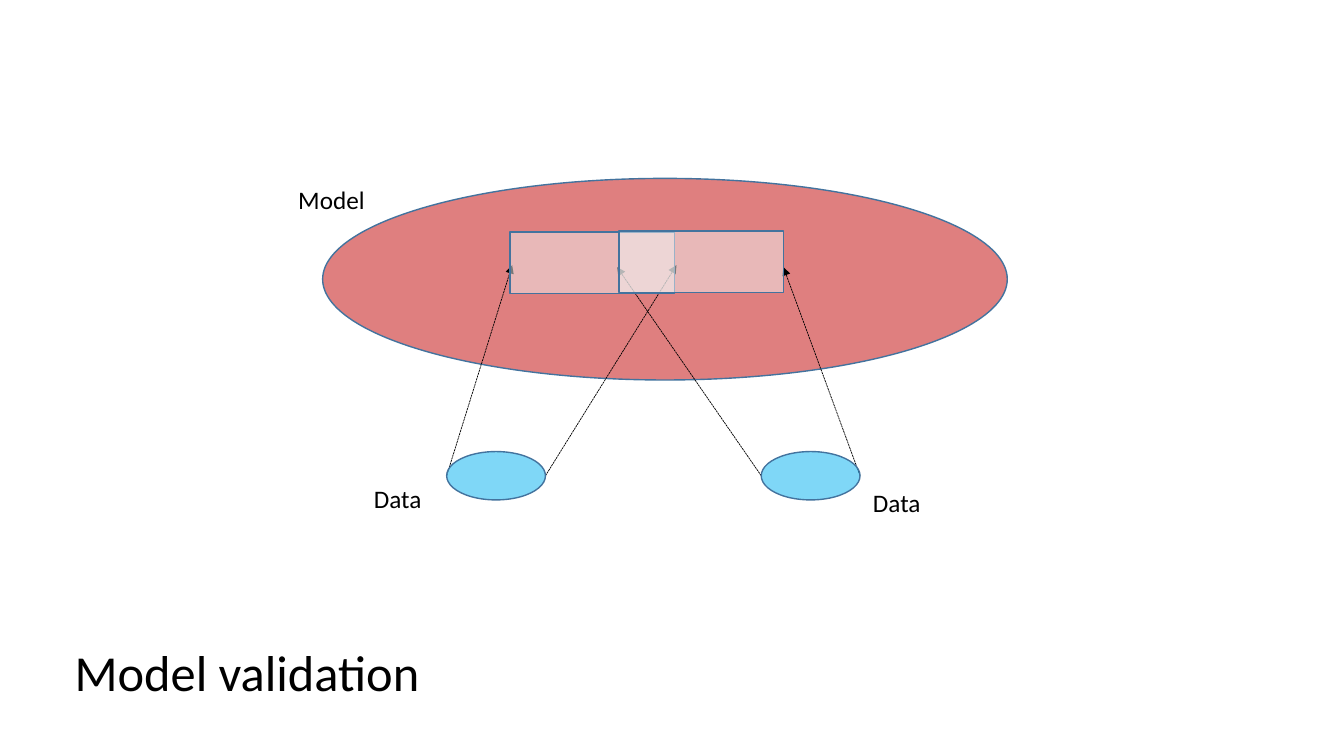
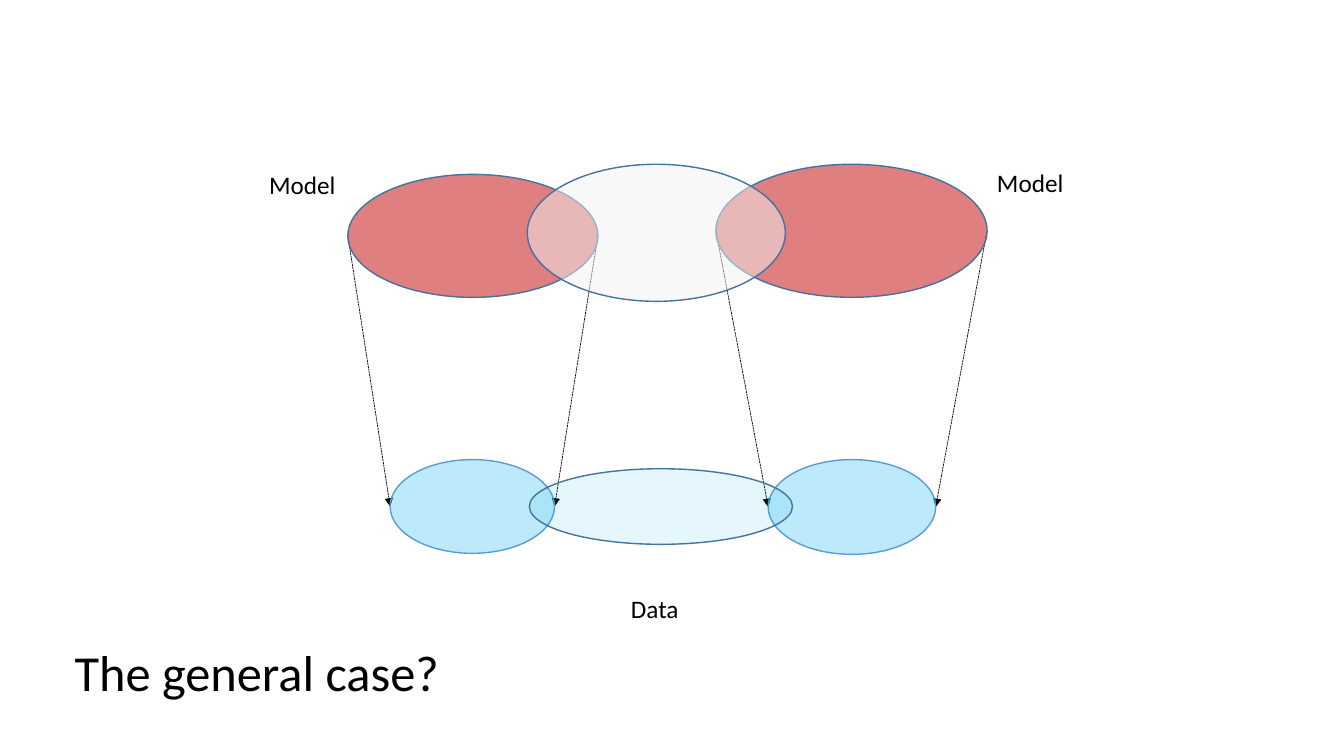
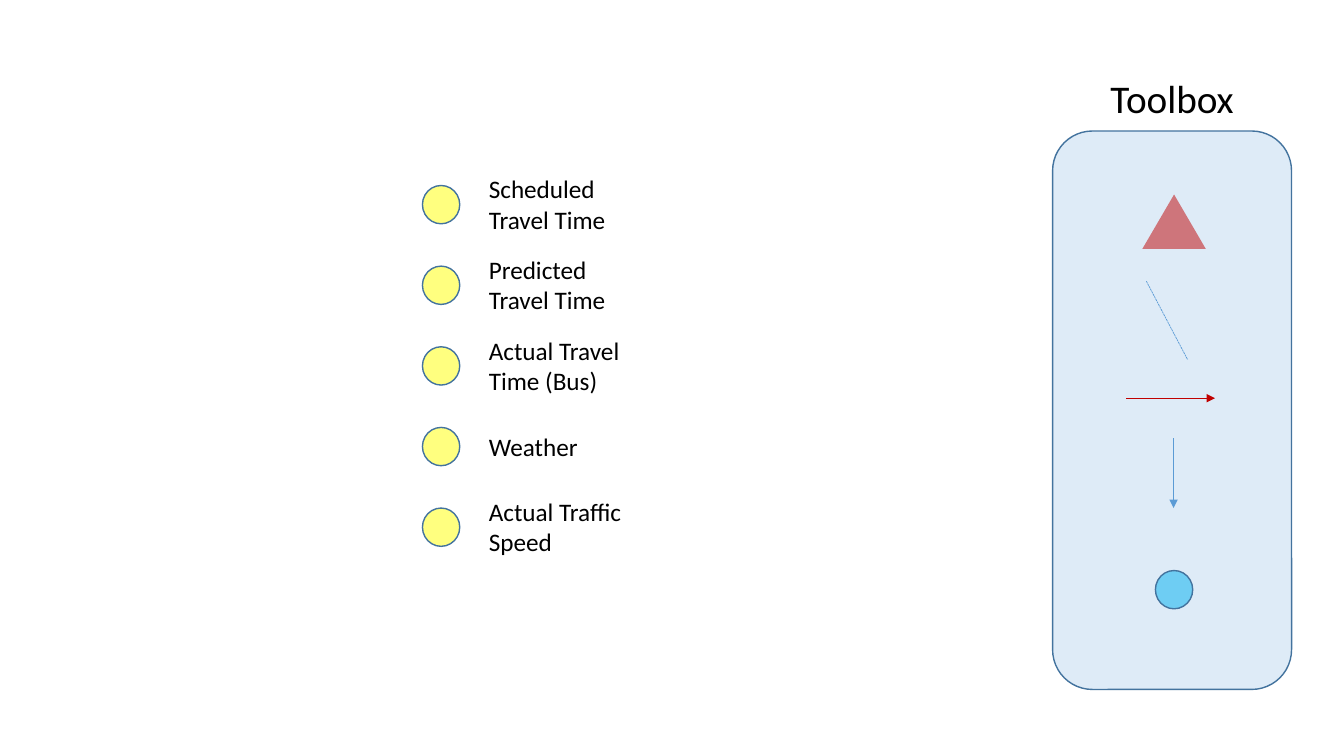
import pptx
import pptx.dml.color
import pptx.enum.dml
import pptx.enum.shapes
import pptx.enum.text
import pptx.oxml.ns
import pptx.util
import lxml.etree

Inches = pptx.util.Inches
Pt = pptx.util.Pt
KIND = pptx.enum.shapes.MSO_SHAPE
ALIGN = pptx.enum.text.PP_ALIGN
qn = pptx.oxml.ns.qn

# Shared look
FONT = "Calibri"
HEX = {
    "text": "000000",
    "edge": "43739E",
    "blue": "5B9BD5",
    "red": "C00000",
    "sky": "00B0F0",
    "gray": "F2F2F2",
    "gold": "FFFF00",
    "panel": "DEEBF7",
}
TITLE_ONLY, BLANK = 5, 6


def rgb(name):
    return pptx.dml.color.RGBColor.from_string(HEX[name])


def style(frame, text, size, align=ALIGN.LEFT):
    frame.text = text
    frame.vertical_anchor = pptx.enum.text.MSO_ANCHOR.TOP
    for para in frame.paragraphs:
        para.alignment = align
        para.font.name = FONT
        para.font.size = Pt(size)
        para.font.color.rgb = rgb("text")


def add_page(deck, title=None):
    """New slide, with the title at the bottom left if there is one."""
    page = deck.slides.add_slide(deck.slide_layouts[BLANK if title is None else TITLE_ONLY])
    if title is not None:
        head = page.shapes.title
        head.left, head.top = Inches(0.64), Inches(6.31)
        head.width, head.height = Inches(6.6), Inches(0.71)
        style(head.text_frame, title, 36)
        head.text_frame.word_wrap = True
        head.text_frame.auto_size = pptx.enum.text.MSO_AUTO_SIZE.NONE
    return page


def label(page, text, box, size=18, wrap=False, align=ALIGN.LEFT):
    frame = page.shapes.add_textbox(*map(Inches, box)).text_frame
    style(frame, text, size, align)
    frame.word_wrap = wrap
    frame.auto_size = pptx.enum.text.MSO_AUTO_SIZE.SHAPE_TO_FIT_TEXT


def shape(page, kind, box, fill, alpha=50, edge="edge"):
    """Filled shape; alpha is the opacity in percent."""
    item = page.shapes.add_shape(kind, *map(Inches, box))
    item.shadow.inherit = False
    item.fill.solid()
    item.fill.fore_color.rgb = rgb(fill)
    if alpha < 100:
        tint = item.fill._xPr.find(qn("a:solidFill"))[0]
        lxml.etree.SubElement(tint, qn("a:alpha")).set("val", str(alpha * 1000))
    if edge:
        item.line.color.rgb = rgb(edge)
        item.line.width = Pt(1)
    else:
        item.line.fill.background()


def line(page, start, end, color="text", dash=True, arrow=True):
    straight = pptx.enum.shapes.MSO_CONNECTOR.STRAIGHT
    item = page.shapes.add_connector(straight, *map(Inches, (*start, *end)))
    item.line.color.rgb = rgb(color)
    item.line.width = Pt(0.5)
    if dash:
        item.line.dash_style = pptx.enum.dml.MSO_LINE.SQUARE_DOT
    if arrow:
        tail = lxml.etree.SubElement(item.line._get_or_add_ln(), qn("a:tailEnd"))
        tail.set("type", "triangle")
    lxml.etree.SubElement(item._element.spPr, qn("a:effectLst"))


def sides(box):
    """Middles of the left and right sides."""
    left, top, width, height = box
    mid = top + height / 2
    return (left, mid), (left + width, mid)


def check_page(deck):
    page = add_page(deck, "Model validation")
    shape(page, KIND.OVAL, (3.2, 1.77, 6.79, 2), "red")

    # Each data set points at both ends of its part of the model
    for left, ends in (
        (4.43, ((5.08, 2.63), (6.71, 2.63))),
        (7.55, ((6.12, 2.65), (7.77, 2.65))),
    ):
        data = (left, 4.48, 0.98, 0.48)
        for start, end in zip(sides(data), ends):
            line(page, start, end)
        shape(page, KIND.OVAL, data, "sky")

    label(page, "Data", (3.61, 4.75, 0.68, 0.4))
    label(page, "Model", (2.86, 1.78, 0.87, 0.4))
    label(page, "Data", (8.56, 4.79, 0.68, 0.4))

    # Overlapping parts of the model
    for left, top in ((5.06, 2.3), (6.14, 2.29)):
        shape(page, KIND.RECTANGLE, (left, top, 1.63, 0.61), "gray")


def case_page(deck):
    page = add_page(deck, "The general case?")

    # Each model maps down to its data
    for model, data in (
        ((3.45, 1.73, 2.48, 1.22), (3.87, 4.56, 1.63, 0.93)),
        ((7.1, 1.63, 2.69, 1.32), (7.62, 4.56, 1.66, 0.94)),
    ):
        for start, end in zip(sides(model), sides(data)):
            line(page, start, end)
        shape(page, KIND.OVAL, data, "sky", 26, "blue")
        shape(page, KIND.OVAL, model, "red")

    label(page, "Data", (6.16, 5.84, 0.68, 0.4))
    label(page, "Model", (2.57, 1.63, 0.87, 0.4))
    label(page, "Model", (9.79, 1.61, 0.87, 0.4))

    # Bridges between the two sides
    shape(page, KIND.OVAL, (5.23, 1.63, 2.56, 1.36), "gray")
    shape(page, KIND.OVAL, (5.25, 4.65, 2.61, 0.75), "sky", 10)


def tool_page(deck):
    page = add_page(deck)

    # Toolbox panel
    shape(page, KIND.ROUNDED_RECTANGLE, (10.44, 1.3, 2.37, 5.54), "panel", 100)
    label(page, "Toolbox", (10.44, 0.69, 2.37, 0.57), 28, True, ALIGN.CENTER)
    shape(page, KIND.ISOSCELES_TRIANGLE, (11.33, 1.93, 0.63, 0.54), "red", edge=None)
    line(page, (11.37, 2.79), (11.78, 3.57), "blue", arrow=False)
    line(page, (11.17, 3.95), (12.05, 3.95), "red", dash=False)
    line(page, (11.64, 4.35), (11.64, 5.04), "blue", dash=False)
    shape(page, KIND.OVAL, (11.46, 5.66, 0.37, 0.38), "sky")

    # Data sources, each label centred on its dot
    names = (
        ("Scheduled\nTravel Time", 0.71),
        ("Predicted\nTravel Time", 0.71),
        ("Actual Travel Time (Bus)", 0.71),
        ("Weather", 0.4),
        ("Actual Traffic Speed", 0.71),
    )
    for row, (name, height) in enumerate(names):
        mid = 2.03 + 0.8 * row
        shape(page, KIND.OVAL, (4.19, mid - 0.19, 0.37, 0.38), "gold")
        label(page, name, (4.75, mid - height / 2, 1.56, height), wrap=True)


def main():
    deck = pptx.Presentation()
    deck.slide_width, deck.slide_height = Inches(13.33), Inches(7.5)
    check_page(deck)
    case_page(deck)
    tool_page(deck)
    deck.save("out.pptx")


if __name__ == "__main__":
    main()
